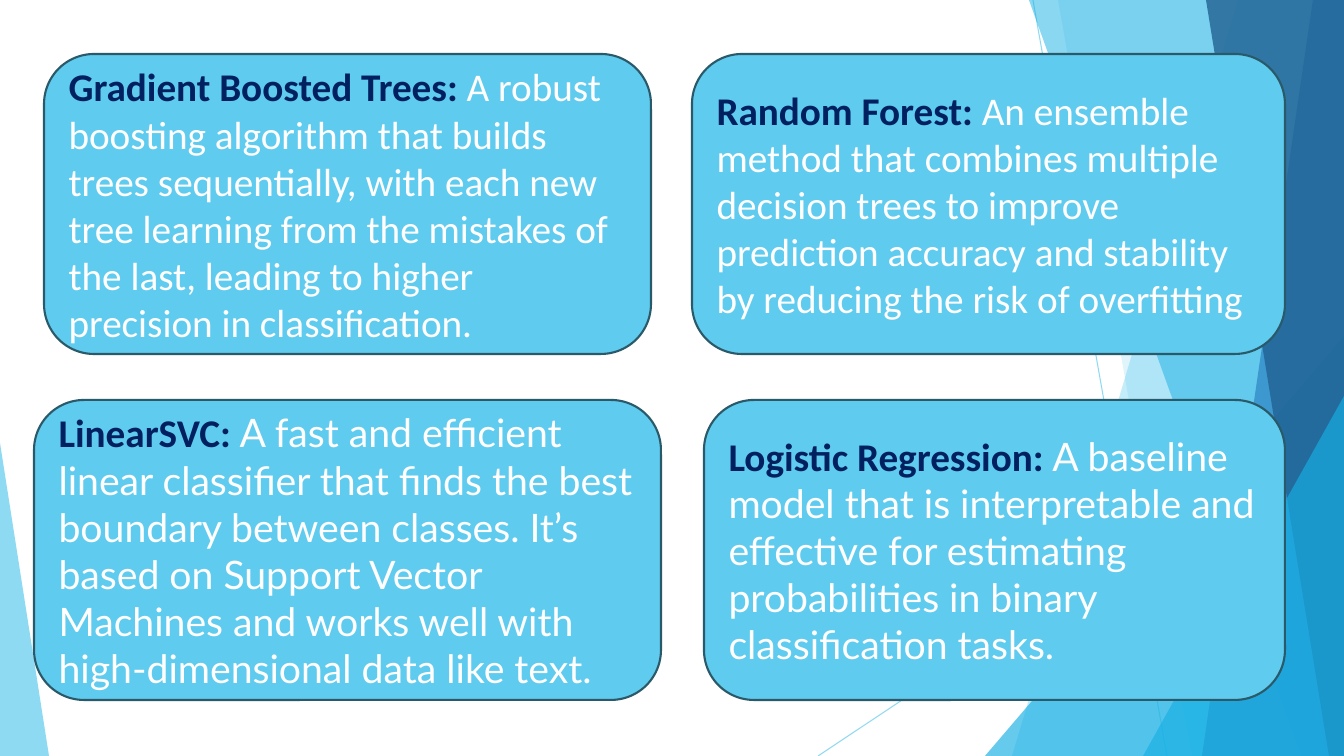
import pptx
import pptx.util
import pptx.dml.color
import pptx.enum.shapes
import pptx.enum.text
import pptx.oxml.ns
from lxml import etree

PX = 914400 / 100.8
WIDTH, HEIGHT = 1344, 756
COLORS = {
    "sky": "5FCBEF", "cyan": "17B0E4", "blue": "2E83C3", "steel": "226292",
    "outline": "2A5969", "navy": "002060", "white": "FFFFFF",
}
RAYS = [((1033, 0), (1167, HEIGHT)), ((WIDTH, 406), (818, HEIGHT))]
# kind, geometry, color, opacity
BACKDROP = [
    ("band", (1238, 1012), "sky", 36),
    ("band", (1058, 1192), "sky", 20),
    ("triangle", (985, 336, 359, 420, 1), "cyan", 66),
    ("band", (1029, 1301), "cyan", 50),
    ("band", (1313, 1202), "blue", 70),
    ("band", (1206, 1329), "steel", 80),
    ("triangle", (1143, 396, 201, 360, 1), "cyan", 66),
    ("triangle", (0, 443, 49, 313, 0), "sky", 70),
]
CARD_HEIGHT = 300
ROW_TOPS = [54, 400]
CARDS = [
    (0, 44, 607, "Calibri", "Gradient Boosted Trees: ",
     "A robust boosting algorithm that builds trees sequentially, with each new tree "
     "learning from the mistakes of the last, leading to higher precision in classification."),
    (1, 34, 627, "Lato", "LinearSVC: ",
     "A fast and efficient linear classifier that finds the best boundary between classes. "
     "It’s based on Support Vector Machines and works well with high-dimensional data like text."),
    (0, 692, 593, "Calibri", "Random Forest: ",
     "An ensemble method that combines multiple decision trees to improve prediction "
     "accuracy and stability by reducing the risk of overfitting"),
    (1, 704, 581, "Lato", "Logistic Regression: ",
     "A baseline model that is interpretable and effective for estimating probabilities "
     "in binary classification tasks."),
]


def px(*lengths):
    return [round(length * PX) for length in lengths]


def rgb(name):
    return pptx.dml.color.RGBColor.from_string(COLORS[name])


def paint(fill, color, opacity=100):
    fill.solid()
    fill.fore_color.rgb = rgb(color)
    if opacity < 100:
        for node in fill._xPr.iter(pptx.oxml.ns.qn("a:srgbClr")):
            alpha = etree.SubElement(node, pptx.oxml.ns.qn("a:alpha"))
            alpha.set("val", str(opacity * 1000))


def add_ray(slide, start, end):
    ray = slide.shapes.add_connector(
        pptx.enum.shapes.MSO_CONNECTOR.STRAIGHT, *px(*start, *end))
    ray.line.width = pptx.util.Pt(0.75)
    paint(ray.line.fill, "sky", 70)
    properties = ray._element.spPr
    etree.SubElement(properties, pptx.oxml.ns.qn("a:effectLst"))


def add_backdrop(slide, kind, geometry, color, opacity):
    if kind == "band":
        top_left, bottom_left = geometry
        builder = slide.shapes.build_freeform(top_left, 0, scale=PX)
        builder.add_line_segments(
            [(WIDTH, 0), (WIDTH, HEIGHT), (bottom_left, HEIGHT)], close=True)
        shape = builder.convert_to_shape()
    else:
        *box, apex = geometry
        shape = slide.shapes.add_shape(
            pptx.enum.shapes.MSO_SHAPE.ISOSCELES_TRIANGLE, *px(*box))
        shape.adjustments[0] = apex
    shape.shadow.inherit = False
    shape.line.fill.background()
    paint(shape.fill, color, opacity)


def add_card(slide, row, left, width, body_font, heading, body):
    card = slide.shapes.add_shape(
        pptx.enum.shapes.MSO_SHAPE.ROUNDED_RECTANGLE,
        *px(left, ROW_TOPS[row], width, CARD_HEIGHT))
    card.shadow.inherit = False
    paint(card.fill, "sky")
    paint(card.line.fill, "outline")
    card.line.width = pptx.util.Pt(1.5)
    frame = card.text_frame
    frame.word_wrap = True
    frame.vertical_anchor = pptx.enum.text.MSO_ANCHOR.MIDDLE
    paragraph = frame.paragraphs[0]
    paragraph.alignment = pptx.enum.text.PP_ALIGN.LEFT
    for text, font, color, bold in [(heading, "Calibri", "navy", True),
                                    (body, body_font, "white", False)]:
        run = paragraph.add_run()
        run.text = text
        run.font.name = font
        run.font.size = pptx.util.Pt(28)
        run.font.bold = bold
        run.font.color.rgb = rgb(color)


def main():
    presentation = pptx.Presentation()
    presentation.slide_width, presentation.slide_height = px(WIDTH, HEIGHT)
    slide = presentation.slides.add_slide(presentation.slide_layouts[6])
    for start, end in RAYS:
        add_ray(slide, start, end)
    for part in BACKDROP:
        add_backdrop(slide, *part)
    for card in CARDS:
        add_card(slide, *card)
    presentation.save("out.pptx")


if __name__ == "__main__":
    main()
